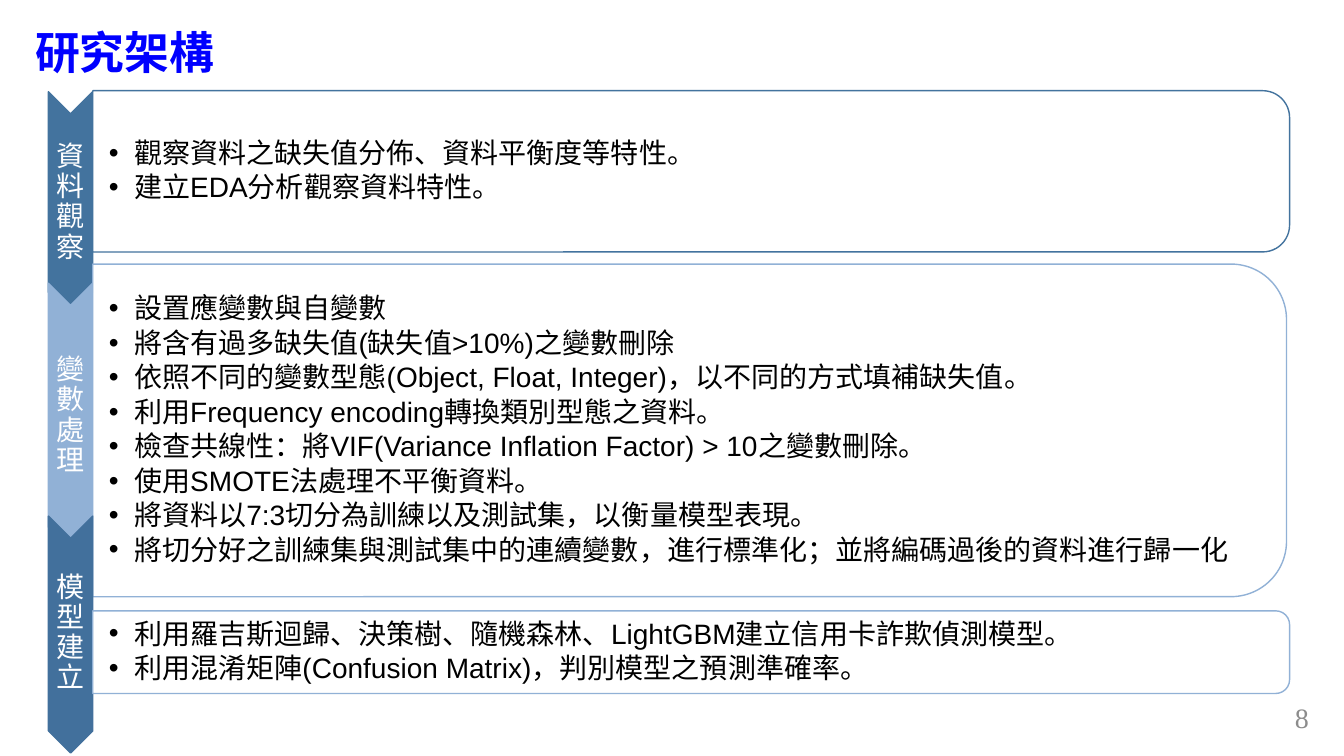
from lxml.etree import SubElement
from pptx import Presentation
from pptx.dml.color import RGBColor
from pptx.enum.shapes import MSO_SHAPE as SHAPE
from pptx.enum.text import MSO_ANCHOR as ANCHOR, PP_ALIGN as ALIGN
from pptx.oxml.ns import qn
from pptx.util import Inches, Pt

COLORS = {
    "title": "0000FF", "number": "8C8C8C", "text": "000000", "white": "FFFFFF",
    "dark": "43739E", "light": "91B1D6", "deep": "42709C",
}
SERIF, SANS = "Times New Roman", "Arial"

# label, (arrow top, height, color), label (top, height),
# panel (left, top, width, height, line), text (top, width, height), bullets
STAGES = [
    ("資料觀察", (0.91, 2.21, "dark"), (1.12, 1.78),
     (0.92, 0.9, 11.87, 1.6, "dark"), (0.98, 11.79, 1.44),
     ["觀察資料之缺失值分佈、資料平衡度等特性。",
      "建立EDA分析觀察資料特性。"]),
    ("變數處理", (2.81, 2.64, "light"), (3.02, 2.21),
     (0.92, 2.62, 11.84, 3.3, "light"), (2.78, 11.68, 2.98),
     ["設置應變數與自變數",
      "將含有過多缺失值(缺失值>10%)之變數刪除",
      "依照不同的變數型態(Object, Float, Integer)，以不同的方式填補缺失值。",
      "利用Frequency encoding轉換類別型態之資料。",
      "檢查共線性：將VIF(Variance Inflation Factor) > 10之變數刪除。",
      "使用SMOTE法處理不平衡資料。",
      "將資料以7:3切分為訓練以及測試集，以衡量模型表現。",
      "將切分好之訓練集與測試集中的連續變數，進行標準化；並將編碼過後的資料進行歸一化"]),
    ("模型建立", (5.12, 2.35, "deep"), (5.33, 1.91),
     (0.92, 6.06, 11.87, 0.82, "light"), (6.1, 11.83, 0.74),
     ["利用羅吉斯迴歸、決策樹、隨機森林、LightGBM建立信用卡詐欺偵測模型。",
      "利用混淆矩陣(Confusion Matrix)，判別模型之預測準確率。"]),
]
ARROW_LEFT, ARROW_W = 0.48, 0.44


def rgb(name):
    return RGBColor.from_string(COLORS[name])


def add_text(s, box, lines, size, font, color, bold=False, align=ALIGN.LEFT,
             insets=None, spacing=0.9, after=0, bullet=False):
    tf = s.shapes.add_textbox(*map(Inches, box)).text_frame
    tf.word_wrap = True
    tf.vertical_anchor = ANCHOR.MIDDLE
    if insets:
        (tf.margin_left, tf.margin_top,
         tf.margin_right, tf.margin_bottom) = map(Inches, insets)
    tf.text = "\n".join(lines)
    for p in tf.paragraphs:
        p.alignment = align
        p.line_spacing = spacing
        p.space_after = Pt(after)
        if bullet:
            pPr = p._p.get_or_add_pPr()
            pPr.set("marL", str(Inches(0.25)))
            pPr.set("indent", str(-Inches(0.25)))
            SubElement(pPr, qn("a:buFont")).set("typeface", SANS)
            SubElement(pPr, qn("a:buChar")).set("char", "•")
        for r in p.runs:
            r.font.size = Pt(size)
            r.font.name = font
            r.font.bold = bold
            r.font.color.rgb = rgb(color)


def add_turned(s, kind, box, fill, line):
    """Preset shape turned a quarter clockwise so that it fills the box."""
    x, y, w, h = box
    sp = s.shapes.add_shape(kind, Inches(x + (w - h) / 2),
                            Inches(y + (h - w) / 2), Inches(h), Inches(w))
    sp.rotation = 90
    sp.shadow.inherit = False
    sp.fill.solid()
    sp.fill.fore_color.rgb = rgb(fill)
    sp.line.color.rgb = rgb(line)
    sp.line.width = Pt(1)
    return sp


def add_stage(s, label, arrow, label_span, panel, text_span, bullets):
    # Arrow with its label
    top, height, color = arrow
    add_turned(s, SHAPE.CHEVRON, (ARROW_LEFT, top, ARROW_W, height), color, color)
    add_text(s, (ARROW_LEFT, label_span[0], ARROW_W, label_span[1]), [label],
             20, SANS, "white", align=ALIGN.CENTER, insets=[0.01] * 4, after=7)
    # Panel with its bullets
    *box, line = panel
    sp = add_turned(s, SHAPE.ROUND_2_SAME_RECTANGLE, box, "white", line)
    white = sp._element.spPr.find(qn("a:solidFill"))[0]
    SubElement(white, qn("a:alpha")).set("val", "90000")
    top, width, height = text_span
    add_text(s, (box[0], top, width, height), bullets, 20, SANS, "text",
             insets=(0.16, 0.01, 0.01, 0.01), after=3, bullet=True)


def main():
    prs = Presentation()
    prs.slide_width, prs.slide_height = Inches(13.33), Inches(7.5)
    s = prs.slides.add_slide(prs.slide_layouts[6])
    # Title and slide number
    add_text(s, (0.25, 0.18, 11.5, 0.74), ["研究架構"], 32, SERIF, "title", bold=True)
    add_text(s, (10.08, 6.92, 3, 0.4), ["8"], 20, SERIF, "number",
             align=ALIGN.RIGHT, spacing=1.0)
    # Research stages
    for stage in STAGES:
        add_stage(s, *stage)
    prs.save("out.pptx")


if __name__ == "__main__":
    main()
